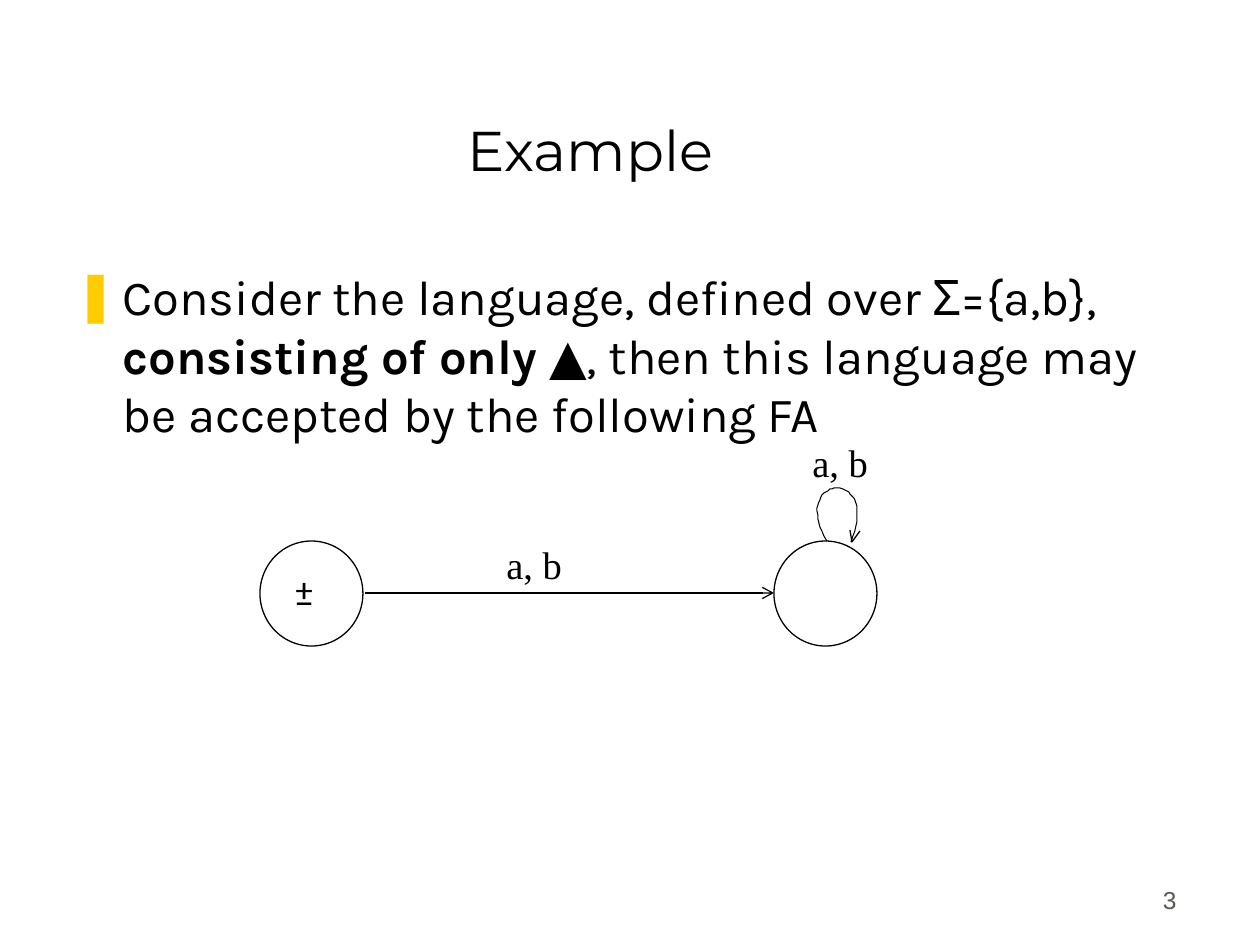
from dataclasses import dataclass

from lxml import etree
from pptx import Presentation
from pptx.dml.color import RGBColor
from pptx.enum import shapes, text
from pptx.oxml import ns
from pptx.util import Emu, Pt

PX = 914400 // 126


@dataclass(frozen=True)
class Theme:
    ink: RGBColor = RGBColor(0, 0, 0)
    paper: RGBColor = RGBColor(255, 255, 255)
    muted: RGBColor = RGBColor(0x5E, 0x57, 0x4E)
    bullet: str = "FFCC00"
    heading_font: str = "Montserrat"
    body_font: str = "Karla"
    symbol_font: str = "Cambria"
    label_font: str = "Times New Roman"
    number_font: str = "Arial"
    heading_size: int = 32
    body_size: int = 28
    state_size: int = 24
    label_size: int = 22
    number_size: int = 14
    stroke: float = 0.75
    loop_stroke: float = 0.6


THEME = Theme()


def px(*lengths):
    return [Emu(length * PX) for length in lengths]


def place(shape, box):
    shape.left, shape.top, shape.width, shape.height = px(*box)


def add_run(paragraph, words, font, size, color=THEME.ink, bold=False):
    run = paragraph.add_run()
    run.text = words
    run.font.name = font
    run.font.size = Pt(size)
    run.font.bold = bold
    run.font.color.rgb = color


def add_label(slide, box, words, font, size, color=THEME.ink):
    frame = slide.shapes.add_textbox(*px(*box)).text_frame
    frame.word_wrap = True
    add_run(frame.paragraphs[0], words, font, size, color)
    return frame


def style_line(shape, width=THEME.stroke):
    shape.line.color.rgb = THEME.ink
    shape.line.width = Pt(width)


def fill_title(heading, box):
    place(heading, box)
    frame = heading.text_frame
    frame.auto_size = text.MSO_AUTO_SIZE.NONE
    frame.vertical_anchor = text.MSO_ANCHOR.BOTTOM
    line = frame.paragraphs[0]
    line.alignment = text.PP_ALIGN.CENTER
    add_run(line, "Example", THEME.heading_font, THEME.heading_size)


def fill_body(body, box):
    place(body, box)
    body.text_frame.auto_size = text.MSO_AUTO_SIZE.NONE
    statement = body.text_frame.paragraphs[0]
    statement.space_before = Pt(7)
    props = statement._p.get_or_add_pPr()
    indent = px(47)[0]
    props.set("marL", str(indent))
    props.set("indent", str(-indent))
    bullet_color = etree.SubElement(props, ns.qn("a:buClr"))
    etree.SubElement(bullet_color, ns.qn("a:srgbClr"), val=THEME.bullet)
    etree.SubElement(props, ns.qn("a:buChar"), char="❚")
    for words, font, bold in (
        ("Consider the language, defined over Σ={a,b}, ", THEME.body_font, False),
        ("consisting of only ", THEME.body_font, True),
        ("▲", THEME.symbol_font, True),
        (", then this language may be accepted by the following FA", THEME.body_font, False),
    ):
        add_run(statement, words, font, THEME.body_size, bold=bold)


def add_state(slide, box):
    state = slide.shapes.add_shape(shapes.MSO_SHAPE.OVAL, *px(*box))
    state.shadow.inherit = False
    state.fill.solid()
    state.fill.fore_color.rgb = THEME.paper
    style_line(state)


def add_transition(slide, start, end):
    transition = slide.shapes.add_connector(shapes.MSO_CONNECTOR.STRAIGHT, *px(*start, *end))
    style_line(transition)
    etree.SubElement(transition.line._get_or_add_ln(), ns.qn("a:tailEnd"), type="arrow")
    etree.SubElement(transition._element.spPr, ns.qn("a:effectLst"))


def add_stroke(slide, points, width):
    builder = slide.shapes.build_freeform(*points[0], scale=PX)
    builder.add_line_segments(points[1:], close=False)
    stroke = builder.convert_to_shape()
    stroke.shadow.inherit = False
    stroke.fill.background()
    style_line(stroke, width)


def curve_points(controls, steps=40):
    points = []
    for step in range(steps + 1):
        t = step / steps
        weights = ((1 - t) ** 3, 3 * t * (1 - t) ** 2, 3 * t * t * (1 - t), t ** 3)
        points.append(tuple(sum(w * c for w, c in zip(weights, axis)) for axis in zip(*controls)))
    return points


def add_loop(slide, x, y):
    controls = [(x, y), (x - 39, y - 67), (x + 55, y - 75), (x + 24, y + 1)]
    head = [(x + 23, y - 11), (x + 25, y + 1), (x + 33, y - 10)]
    add_stroke(slide, curve_points(controls), THEME.loop_stroke)
    add_stroke(slide, head, THEME.stroke)


def add_automaton(slide, box):
    left, top, width, height = box
    state_w, state_h = 103, 105
    state_top = top + height - state_h
    final_left = left + width - state_w
    middle = state_top + state_h // 2
    for state_left in (left, final_left):
        add_state(slide, (state_left, state_top, state_w, state_h))
    add_transition(slide, (left + state_w + 2, middle), (final_left, middle))
    add_loop(slide, final_left + 53, state_top)
    label_w, label_h = 123, 84
    for label_left, label_top in ((final_left + 26, top), (left + 234, top + 102)):
        add_label(slide, (label_left, label_top, label_w, label_h), "a, b",
                  THEME.label_font, THEME.label_size)
    add_label(slide, (left + 21, top + 124, label_w, label_h), "±",
              THEME.body_font, THEME.state_size)


def add_page_number(slide, box):
    frame = add_label(slide, box, "3", THEME.number_font, THEME.number_size, THEME.muted)
    frame.vertical_anchor = text.MSO_ANCHOR.BOTTOM
    frame.paragraphs[0].alignment = text.PP_ALIGN.RIGHT
    frame.paragraphs[0].space_before = Pt(8.8)


def main():
    deck = Presentation()
    deck.slide_width, deck.slide_height = px(1260, 945)
    slide = deck.slides.add_slide(deck.slide_layouts[1])
    fill_title(slide.shapes.title, (55, 32, 1071, 157))
    fill_body(slide.placeholders[1], (63, 260, 1126, 575))
    add_automaton(slide, (260, 433, 617, 213))
    add_page_number(slide, (927, 858, 262, 63))
    deck.save("out.pptx")


if __name__ == "__main__":
    main()
